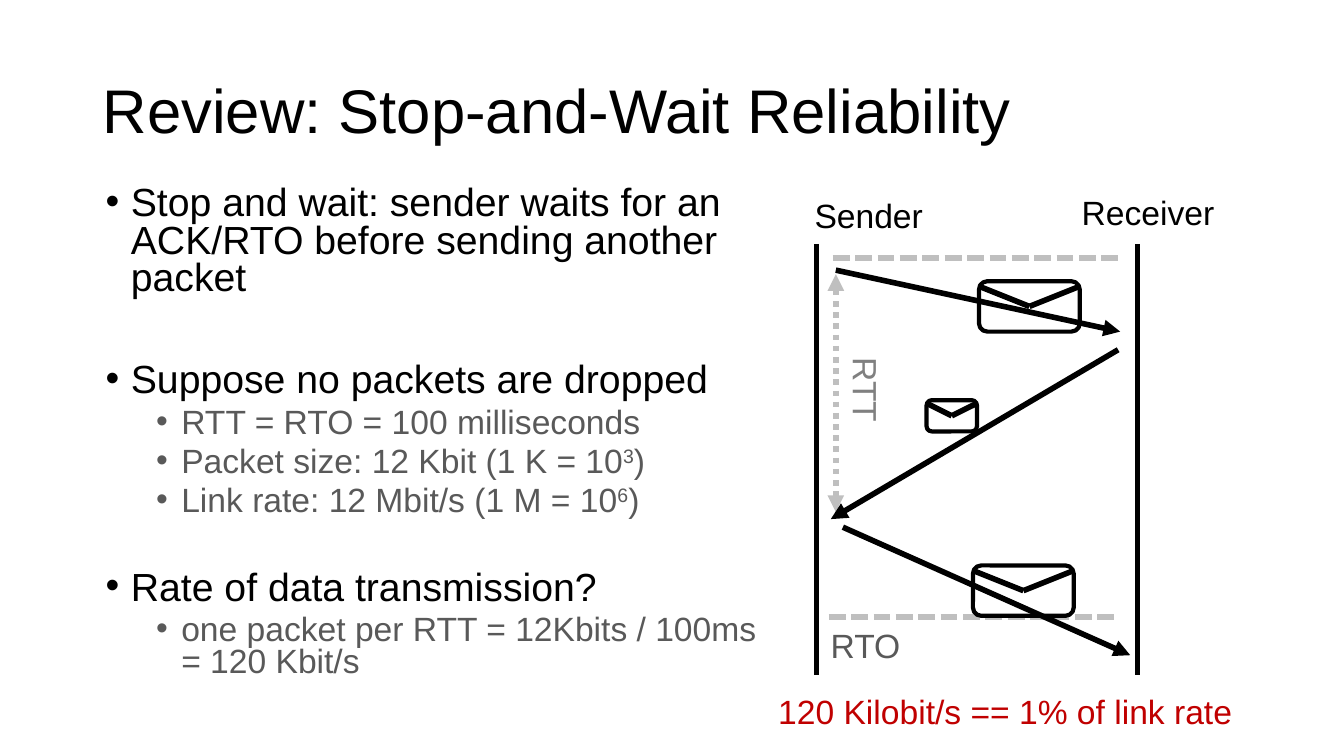
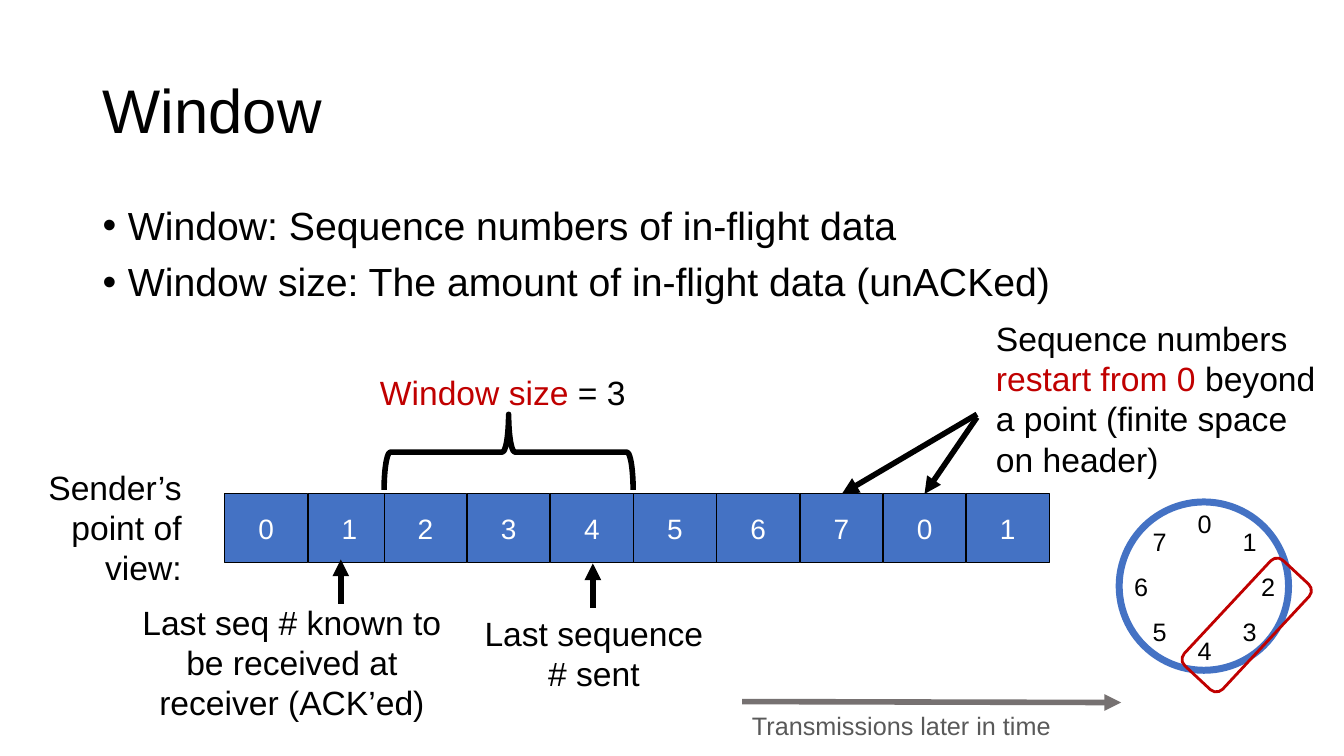
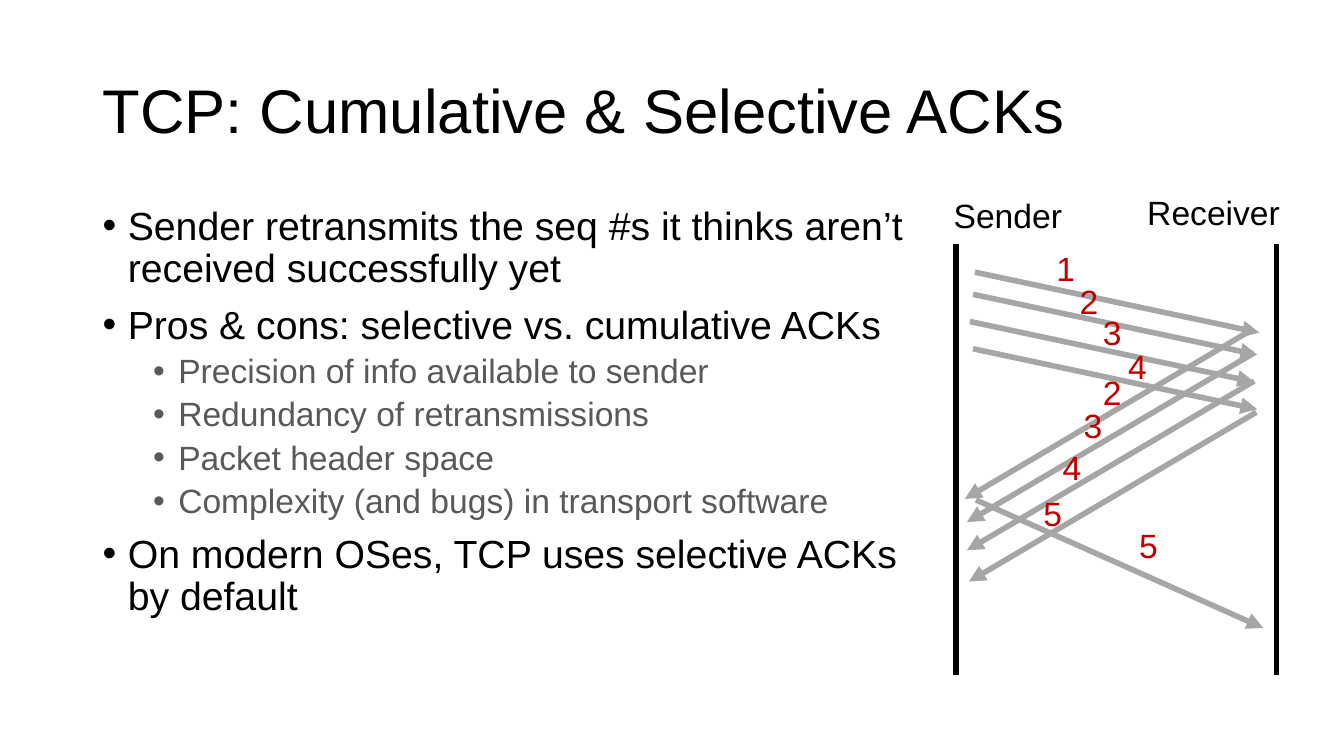
"""Build three lecture slides on reliable transport and sliding windows."""
from dataclasses import dataclass
from math import cos, pi, sin
from typing import NamedTuple

from lxml import etree
from pptx import Presentation
from pptx.dml.color import RGBColor
from pptx.enum.dml import MSO_LINE
from pptx.enum.shapes import MSO_CONNECTOR, MSO_SHAPE
from pptx.enum.text import MSO_ANCHOR, MSO_AUTO_SIZE, PP_ALIGN
from pptx.oxml.ns import qn
from pptx.util import Inches, Pt

STRAIGHT = MSO_CONNECTOR.STRAIGHT
RECT, ROUNDED = MSO_SHAPE.RECTANGLE, MSO_SHAPE.ROUNDED_RECTANGLE
OVAL, BRACE = MSO_SHAPE.OVAL, MSO_SHAPE.RIGHT_BRACE
DASH, DOT = MSO_LINE.SQUARE_DOT, MSO_LINE.ROUND_DOT
TOP, MIDDLE = MSO_ANCHOR.TOP, MSO_ANCHOR.MIDDLE
GROW, FIXED = MSO_AUTO_SIZE.SHAPE_TO_FIT_TEXT, MSO_AUTO_SIZE.NONE
LEFT, CENTER, RIGHT = PP_ALIGN.LEFT, PP_ALIGN.CENTER, PP_ALIGN.RIGHT


@dataclass(frozen=True)
class Theme:
    font: str = "Arial"
    ink: str = "000000"
    paper: str = "FFFFFF"
    detail: str = "595959"
    accent: str = "C00000"
    block: str = "4472C4"
    guide: str = "BFBFBF"
    guide_text: str = "808080"
    flow: str = "A6A6A6"
    time_axis: str = "767171"
    title: int = 44
    body: int = 28
    label: int = 24
    cell: int = 20
    small: int = 18
    stroke: int = 4


class Run(NamedTuple):
    text: str
    color: str = ""
    baseline: int = 0


class Bullet(NamedTuple):
    runs: object
    level: int = 0
    before: int = 0


def style(target, **formats):
    """Set each format value on the target."""
    for name, value in formats.items():
        setattr(target, name, value)


class Deck:
    """Hold the theme and the current slide, and draw each kind of element."""

    def __init__(self, theme):
        self.theme = theme
        self.show = Presentation()
        style(self.show, slide_width=Inches(13.33), slide_height=Inches(7.5))

    def new_slide(self, title):
        """Start a titled slide."""
        slide = self.show.slides.add_slide(self.show.slide_layouts[6])
        self.page = self.canvas = slide.shapes
        self.text((0.92, 0.4, 11.5, 1.45), title, size=self.theme.title,
                  anchor=MIDDLE, autosize=FIXED, spacing=0.9)

    def start_group(self):
        """Send the next elements into a new group."""
        self.canvas = self.page.add_group_shape().shapes

    def end_group(self):
        """Return to drawing straight on the slide."""
        self.canvas = self.page

    def add_runs(self, paragraph, runs, size, color):
        """Fill a paragraph with formatted runs."""
        for part in [Run(runs)] if isinstance(runs, str) else runs:
            run = paragraph.add_run()
            run.text = part.text
            style(run.font, name=self.theme.font, size=Pt(size))
            run.font.color.rgb = RGBColor.from_string(part.color or color)
            if part.baseline:
                run._r.get_or_add_rPr().set("baseline", str(part.baseline * 1000))

    def text(self, box, runs, size=None, color=None, align=LEFT, anchor=TOP,
             autosize=GROW, spacing=1.0, rotation=0):
        """Add a wrapped text box with one paragraph."""
        label = self.canvas.add_textbox(*map(Inches, box))
        label.rotation = rotation
        frame = label.text_frame
        style(frame, word_wrap=True, auto_size=autosize, vertical_anchor=anchor)
        paragraph = frame.paragraphs[0]
        style(paragraph, alignment=align, line_spacing=spacing)
        self.add_runs(paragraph, runs, size or self.theme.label, color or self.theme.ink)

    def bullets(self, box, items, spacing=0.9):
        """Add a two-level bulleted list."""
        theme = self.theme
        levels = ((theme.body, theme.ink, 10, 0.25), (theme.label, theme.detail, 5, 0.75))
        frame = self.canvas.add_textbox(*map(Inches, box)).text_frame
        style(frame, word_wrap=True, auto_size=FIXED)
        for index, item in enumerate(items):
            paragraph = frame.add_paragraph() if index else frame.paragraphs[0]
            size, color, before, indent = levels[item.level]
            style(paragraph, level=item.level, line_spacing=spacing,
                  space_before=Pt(item.before or before))
            props = paragraph._p.get_or_add_pPr()
            props.set("marL", str(Inches(indent)))
            props.set("indent", str(Inches(-0.25)))
            etree.SubElement(props, qn("a:buFont")).set("typeface", theme.font)
            etree.SubElement(props, qn("a:buChar")).set("char", "•")
            self.add_runs(paragraph, item.runs, size, color)

    def line(self, start, end, color=None, dash=None, head=False, tail=False):
        """Add a straight line with optional arrowheads."""
        rule = self.canvas.add_connector(STRAIGHT, *map(Inches, (*start, *end)))
        style(rule.line, width=Pt(self.theme.stroke), dash_style=dash)
        rule.line.color.rgb = RGBColor.from_string(color or self.theme.ink)
        for tag, shown in (("a:headEnd", head), ("a:tailEnd", tail)):
            if shown:
                etree.SubElement(rule.get_or_add_ln(), qn(tag)).set("type", "triangle")
        etree.SubElement(rule.element.spPr, qn("a:effectLst"))

    def arrow(self, start, end, color=None):
        """Add a line that points at its end."""
        self.line(start, end, color, tail=True)

    def shape(self, kind, box, color=None, width=4, fill=None, rotation=0, caption=""):
        """Add an outlined shape with an optional fill and caption."""
        figure = self.canvas.add_shape(kind, *map(Inches, box))
        figure.rotation = rotation
        figure.shadow.inherit = False
        if fill:
            figure.fill.solid()
            figure.fill.fore_color.rgb = RGBColor.from_string(fill)
        else:
            figure.fill.background()
        figure.line.width = Pt(width)
        figure.line.color.rgb = RGBColor.from_string(color or self.theme.ink)
        if caption:
            figure.text_frame.vertical_anchor = MIDDLE
            paragraph = figure.text_frame.paragraphs[0]
            paragraph.alignment = CENTER
            self.add_runs(paragraph, caption, self.theme.cell, self.theme.paper)

    def envelope(self, left, top, width, height):
        """Add a grouped packet envelope with a folded flap."""
        self.start_group()
        self.shape(ROUNDED, (left, top, width, height), width=3)
        fold = (left + width / 2, top + height / 2)
        for corner in (left, left + width):
            self.line((corner, top + height / 10), fold)
        self.end_group()

    def timelines(self, sender, receiver, receiver_label):
        """Add the labelled sender and receiver time lines."""
        for rail in (sender, receiver):
            self.line((rail, 2.42), (rail, 6.7))
        self.text((sender - 0.12, 1.88, 1.51, 0.5), "Sender")
        self.text((receiver_label, 1.85, 1.68, 0.5), "Receiver")


def stop_and_wait(deck):
    """Draw the stop-and-wait review."""
    theme = deck.theme
    deck.new_slide("Review: Stop-and-Wait Reliability")
    deck.bullets((0.95, 1.8, 6.92, 5.5), [
        Bullet("Stop and wait: sender waits for an ACK/RTO before sending another packet"),
        Bullet("Suppose no packets are dropped", before=46),
        Bullet("RTT = RTO = 100 milliseconds", 1),
        Bullet([Run("Packet size: 12 Kbit (1 K = 10"), Run("3", baseline=30), Run(")")], 1),
        Bullet([Run("Link rate: 12 Mbit/s (1 M = 10"), Run("6", baseline=30), Run(")")], 1),
        Bullet("Rate of data transmission?", before=37),
        Bullet("one packet per RTT = 12Kbits / 100ms = 120 Kbit/s", 1),
    ], spacing=0.8)
    deck.timelines(8.1, 11.28, receiver_label=10.63)
    for left, timeout in ((8.26, 2.56), (8.22, 6.12)):
        deck.line((left, timeout), (left + 2.85, timeout), theme.guide, DASH)
    deck.line((8.29, 2.72), (8.29, 5.08), theme.guide, DOT, head=True, tail=True)
    for sent, arrived in (((8.29, 2.68), (11.11, 3.29)),
                          ((11.09, 3.47), (8.24, 5.15)),
                          ((8.36, 5.23), (11.21, 6.5))):
        deck.arrow(sent, arrived)
    for packet in ((9.71, 2.79, 1, 0.5), (9.19, 3.97, 0.5, 0.31), (9.65, 5.61, 1, 0.5)):
        deck.envelope(*packet)
    deck.text((8.04, 3.75, 1.1, 0.5), "RTT", color=theme.guide_text, rotation=90)
    deck.text((8.14, 6.15, 1.1, 0.5), "RTO", color=theme.detail)
    deck.text((7.62, 6.81, 5.01, 0.5), "120 Kilobit/s == 1% of link rate",
              color=theme.accent)


def sequence_strip(deck):
    """Draw the row of sequence numbers."""
    deck.start_group()
    for index in range(10):
        overlap = 0.07 if index > 1 else 0
        deck.shape(RECT, (2.23 + 0.825 * index - overlap, 4.9, 0.82, 0.68),
                   width=0.75, fill=deck.theme.block, caption=str(index % 8))
    deck.end_group()


def sequence_dial(deck):
    """Draw the circular sequence space with its window."""
    theme = deck.theme
    deck.start_group()
    deck.shape(OVAL, (11.1, 4.98, 1.68, 1.67), theme.block, width=5)
    for number in range(8):
        angle = number * pi / 4
        spot = (11.78 + 0.63 * sin(angle), 5.62 - 0.63 * cos(angle), 0.45, 0.4)
        deck.text(spot, str(number), theme.small)
    deck.end_group()
    deck.shape(ROUNDED, (11.65, 5.94, 1.43, 0.52), theme.accent, width=2, rotation=313)


def window(deck):
    """Draw the window definition and the sequence space."""
    theme = deck.theme
    deck.new_slide("Window")
    deck.bullets((0.92, 2, 11.5, 4.76), [
        Bullet("Window: Sequence numbers of in-flight data"),
        Bullet("Window size: The amount of in-flight data (unACKed)"),
    ])
    deck.text((0, 4.58, 1.9, 1.31), "Sender’s point of view:", align=RIGHT)
    deck.text((3.67, 3.64, 2.75, 0.5), [Run("Window size ", theme.accent), Run("= 3")])
    deck.text((1.26, 5.92, 3.27, 1.31),
              "Last seq # known to be received at receiver (ACK’ed)", align=CENTER)
    deck.text((4.69, 6.03, 2.4, 0.91), "Last sequence # sent", align=CENTER)
    deck.shape(BRACE, (4.67, 3.25, 0.75, 2.47), rotation=270)
    sequence_strip(deck)
    deck.text((9.78, 3.1, 3.46, 1.72), [
        Run("Sequence numbers "), Run("restart from 0 ", theme.accent),
        Run("beyond a point (finite space on header)")])
    for start, end in (((5.88, 6.03), (5.88, 5.59)), ((3.38, 5.99), (3.38, 5.55)),
                       ((9.69, 4.14), (9.17, 4.9)), ((9.69, 4.11), (8.35, 4.9))):
        deck.arrow(start, end)
    deck.arrow((7.36, 6.96), (11.12, 6.97), theme.time_axis)
    deck.text((7.36, 7, 3.98, 0.4), "Transmissions later in time", theme.small, theme.detail)
    sequence_dial(deck)


def selective_acks(deck):
    """Draw the cumulative and selective ACK comparison."""
    theme = deck.theme
    deck.new_slide("TCP: Cumulative & Selective ACKs")
    deck.bullets((0.92, 2, 8.3, 5.34), [
        Bullet("Sender retransmits the seq #s it thinks aren’t received successfully yet"),
        Bullet("Pros & cons: selective vs. cumulative ACKs"),
        Bullet("Precision of info available to sender", 1),
        Bullet("Redundancy of retransmissions", 1),
        Bullet("Packet header space", 1),
        Bullet("Complexity (and bugs) in transport software", 1),
        Bullet("On modern OSes, TCP uses selective ACKs by default"),
    ])
    deck.timelines(9.48, 12.66, receiver_label=11.28)
    packets = ((9.67, 2.7), (9.65, 2.92), (9.62, 3.19), (9.65, 3.46))
    acks = ((12.42, 3.27), (12.44, 3.5), (12.44, 3.78), (12.46, 4.09))
    resent = ((9.68, 4.96),)
    for starts, across, down in ((packets, 2.82, 0.6), (acks, -2.85, 1.68),
                                 (resent, 2.85, 1.27)):
        for left, top in starts:
            deck.arrow((left, top), (left + across, top + down), theme.flow)
    for number, left, top in ((1, 10.38, 2.41), (2, 10.61, 2.74), (3, 10.84, 3.05),
                              (4, 11.09, 3.38), (2, 10.84, 3.64), (3, 10.65, 3.97),
                              (4, 10.44, 4.38), (5, 10.25, 4.84), (5, 11.2, 5.16)):
        deck.text((left, top, 0.74, 0.5), str(number), color=theme.accent)


lecture = Deck(Theme())
for draw in (stop_and_wait, window, selective_acks):
    draw(lecture)
lecture.show.save("out.pptx")
